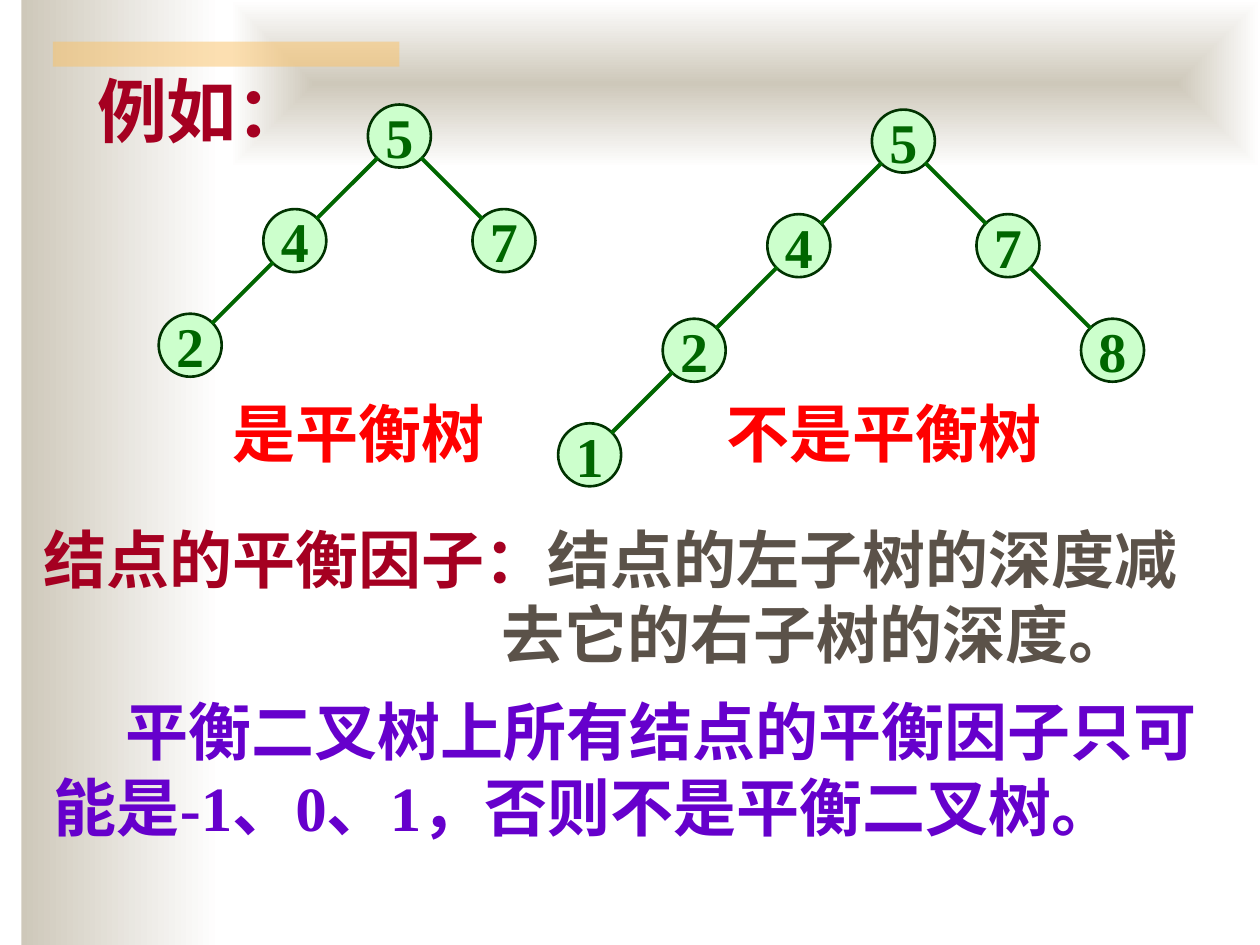
import pptx
import pptx.dml.color
import pptx.enum.shapes
import pptx.enum.text
import pptx.oxml
import pptx.oxml.ns
import pptx.util
from dataclasses import dataclass
from lxml import etree

Inches = pptx.util.Inches
Pt = pptx.util.Pt
Shape = pptx.enum.shapes.MSO_SHAPE
Anchor = pptx.enum.text.MSO_ANCHOR
Align = pptx.enum.text.PP_ALIGN
AutoSize = pptx.enum.text.MSO_AUTO_SIZE


@dataclass(frozen=True)
class Theme:
    font: str = "Times New Roman"
    title_size: int = 40
    body_size: int = 36
    node_size: int = 32
    heading: str = "A50021"
    verdict: str = "FF0000"
    body: str = "5B5249"
    rule: str = "6600CC"
    node_fill: str = "CCFFCC"
    node_line: str = "003300"
    green: str = "006600"
    sand: str = "CEC8BA"
    white: str = "FFFFFF"
    amber: str = "FAC164"


THEME = Theme()
NODE = 0.5
STEP = 0.83
EDGE_INSET = 0.17


def rgb(value):
    return pptx.dml.color.RGBColor.from_string(value)


def apply(target, values):
    for name, value in values.items():
        setattr(target, name, value)


def add_span(para, text, size, color):
    span = para.add_run()
    span.text = text
    apply(span.font, {"name": THEME.font, "size": Pt(size), "bold": True})
    span.font.color.rgb = rgb(color)


def add_backdrop(page, place):
    panel = page.shapes.add_shape(Shape.RECTANGLE, *map(Inches, place))
    panel.shadow.inherit = False
    panel.line.fill.background()
    page.shapes.title.element.addprevious(panel.element)
    return panel


def add_gradient_panel(page, place, from_center=False):
    panel = add_backdrop(page, place)
    panel.fill.gradient()
    panel.fill.gradient_angle = 0
    for stop, color in zip(panel.fill.gradient_stops, (THEME.sand, THEME.white)):
        stop.color.rgb = rgb(color)
    if from_center:
        linear = panel.element.find(".//" + pptx.oxml.ns.qn("a:lin"))
        radial = pptx.oxml.parse_xml(
            f'<a:path {pptx.oxml.ns.nsdecls("a")} path="shape">'
            '<a:fillToRect l="50000" t="50000" r="50000" b="50000"/></a:path>')
        linear.getparent().replace(linear, radial)


def add_accent_bar(page, place):
    bar = add_backdrop(page, place)
    bar.fill.solid()
    bar.fill.fore_color.rgb = rgb(THEME.amber)
    color = bar.element.spPr.find(".//" + pptx.oxml.ns.qn("a:srgbClr"))
    etree.SubElement(color, pptx.oxml.ns.qn("a:alpha")).set("val", "50000")


def fill_title(page, text, place):
    title = page.shapes.title
    apply(title, dict(zip(("left", "top", "width", "height"), map(Inches, place))))
    apply(title.text_frame, {"vertical_anchor": Anchor.BOTTOM,
                             "auto_size": AutoSize.NONE})
    para = title.text_frame.paragraphs[0]
    para.alignment = Align.LEFT
    add_span(para, text, THEME.title_size, THEME.heading)


def add_node(group, label, center):
    x, y = center
    node = group.shapes.add_shape(Shape.OVAL, Inches(x - NODE / 2), Inches(y - NODE / 2),
                                  Inches(NODE), Inches(NODE))
    node.shadow.inherit = False
    node.fill.solid()
    node.fill.fore_color.rgb = rgb(THEME.node_fill)
    node.line.color.rgb = rgb(THEME.node_line)
    node.line.width = Pt(1.5)
    apply(node.text_frame, {"word_wrap": False, "vertical_anchor": Anchor.MIDDLE})
    para = node.text_frame.paragraphs[0]
    para.alignment = Align.CENTER
    add_span(para, label, THEME.node_size, THEME.green)


def add_edge(group, parent, child):
    shift = EDGE_INSET if child[0] > parent[0] else -EDGE_INSET
    ends = (parent[0] + shift, parent[1] + EDGE_INSET,
            child[0] - shift, child[1] - EDGE_INSET)
    edge = group.shapes.add_connector(pptx.enum.shapes.MSO_CONNECTOR.STRAIGHT,
                                      *map(Inches, ends))
    edge.line.color.rgb = rgb(THEME.green)
    edge.line.width = Pt(2.25)
    etree.SubElement(edge.element.spPr, pptx.oxml.ns.qn("a:effectLst"))


def add_tree(page, root, left_branch, right_branch):
    group = page.shapes.add_group_shape()
    add_node(group, "5", root)
    for side, labels in ((-1, left_branch), (1, right_branch)):
        parent = root
        for depth, label in enumerate(labels, 1):
            child = (root[0] + side * depth * STEP, root[1] + depth * STEP)
            add_node(group, label, child)
            add_edge(group, parent, child)
            parent = child


def add_text(page, place, paragraphs, wrap=True):
    box = page.shapes.add_textbox(*map(Inches, place))
    frame = box.text_frame
    apply(frame, {"word_wrap": wrap, "auto_size": AutoSize.SHAPE_TO_FIT_TEXT})
    for index, (indents, spans) in enumerate(paragraphs):
        para = frame.add_paragraph() if index else frame.paragraphs[0]
        for name, length in indents.items():
            para._p.get_or_add_pPr().set(name, str(Inches(length)))
        for text, color in spans:
            add_span(para, text, THEME.body_size, color)


def main():
    deck = pptx.Presentation()
    apply(deck, {"slide_width": Inches(10), "slide_height": Inches(7.5)})
    page = deck.slides.add_slide(deck.slide_layouts[5])

    add_gradient_panel(page, (0.17, 0, 1.58, 7.5))
    add_gradient_panel(page, (1.83, 0, 8.17, 1.33), from_center=True)
    add_accent_bar(page, (0.42, 0.33, 2.75, 0.2))
    fill_title(page, "例如：", (0.67, 0.33, 8.5, 0.92))

    add_tree(page, (3.17, 1.08), "42", "7")
    add_text(page, (1.75, 3.08, 2.21, 0.7),
             [({}, [("是平衡树", THEME.verdict)])], wrap=False)
    add_text(page, (5.67, 3.08, 2.72, 0.7), [({}, [("不是平衡树", THEME.verdict)])])
    add_tree(page, (7.17, 1.12), "421", "78")

    add_text(page, (0.25, 4.08, 9.5, 1.3), [
        ({}, [("结点的平衡因子：", THEME.heading),
              ("结点的左子树的深度减", THEME.body)]),
        ({"marL": 3.63}, [("去它的右子树的深度。", THEME.body)]),
    ])
    add_text(page, (0.33, 5.45, 9.42, 1.3), [
        ({"indent": 0.57},
         [("平衡二叉树上所有结点的平衡因子只可能是-1、0、1，否则不是平衡二叉树。",
           THEME.rule)]),
    ])
    deck.save("out.pptx")


if __name__ == "__main__":
    main()
